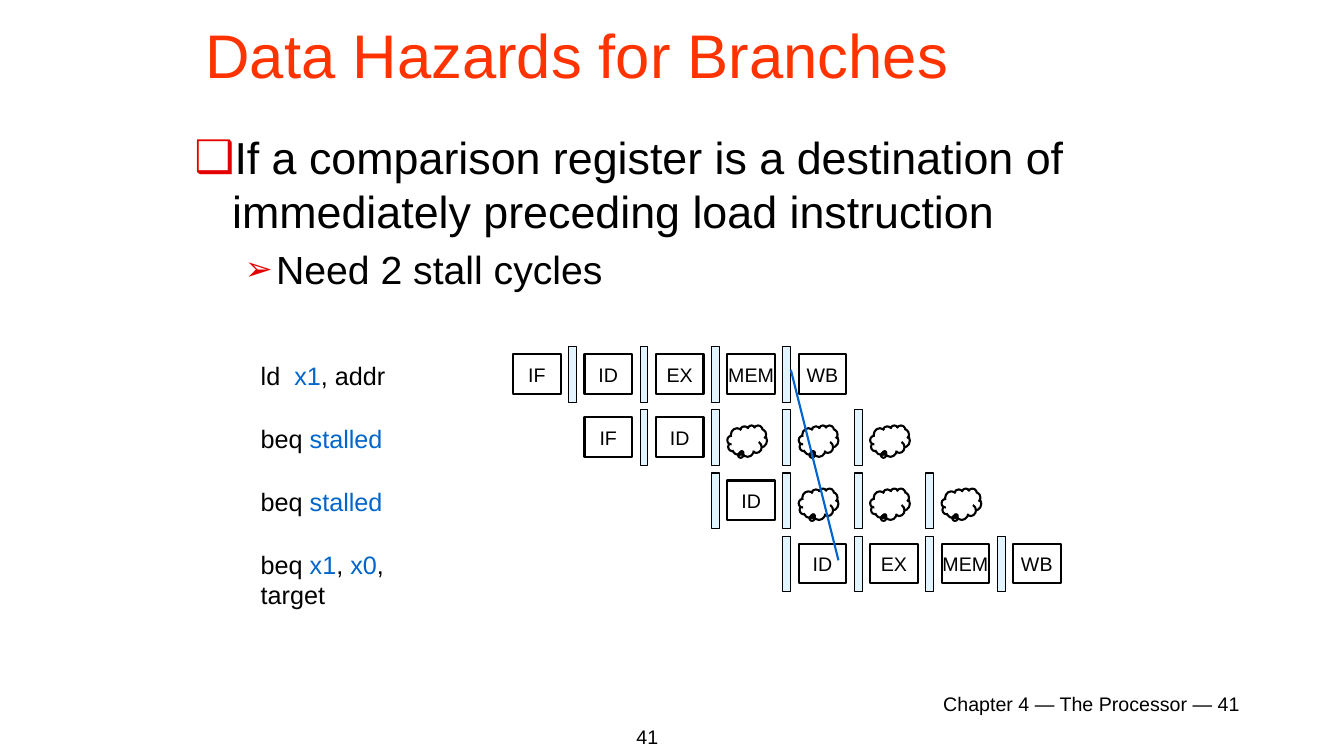
from dataclasses import dataclass

from lxml.etree import SubElement
from pptx import Presentation
from pptx.dml.color import RGBColor
from pptx.enum.shapes import MSO_CONNECTOR, MSO_SHAPE
from pptx.enum.text import MSO_ANCHOR, PP_ALIGN
from pptx.oxml.ns import qn
from pptx.util import Cm, Pt


@dataclass(frozen=True)
class Theme:
    font: str = "Arial"
    ink: RGBColor = RGBColor(0x00, 0x00, 0x00)
    paper: RGBColor = RGBColor(0xFF, 0xFF, 0xFF)
    title: RGBColor = RGBColor(0xFF, 0x33, 0x00)
    accent: RGBColor = RGBColor(0x00, 0x66, 0xCC)
    register: RGBColor = RGBColor(0xE1, 0xF4, 0xFF)
    bullet: str = "E40000"
    title_size: Pt = Pt(44)
    body_size: Pt = Pt(32)
    detail_size: Pt = Pt(28)
    code_size: Pt = Pt(18)
    small_size: Pt = Pt(14)
    thick: Pt = Pt(1.5)
    thin: Pt = Pt(0.75)


THEME = Theme()

# Each row: instruction as (text, highlighted) spans, first column, stages.
BUBBLE = None
PIPELINE = [
    ([("ld  ", False), ("x1", True), (", addr", False)],
     0, ["IF", "ID", "EX", "MEM", "WB"]),
    ([("beq ", False), ("stalled", True)],
     1, ["IF", "ID", BUBBLE, BUBBLE, BUBBLE]),
    ([("beq ", False), ("stalled", True)],
     3, ["ID", BUBBLE, BUBBLE, BUBBLE]),
    ([("beq ", False), ("x1", True), (", ", False), ("x0", True),
      (", target", False)],
     4, ["ID", "EX", "MEM", "WB"]),
]
REGISTERS_PER_ROW = 4
COLUMN_STEP, ROW_STEP = 1.8, 1.59


def style(para, size, color=THEME.ink, align=PP_ALIGN.LEFT):
    para.font.name = THEME.font
    para.font.size = size
    para.font.color.rgb = color
    para.alignment = align


def add_text_box(page, box, wrap=True):
    frame = page.shapes.add_textbox(*map(Cm, box)).text_frame
    frame.word_wrap = wrap
    return frame


def add_line_of_text(page, box, text, size, align=PP_ALIGN.LEFT):
    para = add_text_box(page, box).paragraphs[0]
    para.text = text
    style(para, size, align=align)


def add_outlined(page, kind, box, width, fill=None):
    shape = page.shapes.add_shape(kind, *map(Cm, box))
    shape.shadow.inherit = False
    shape.line.color.rgb = THEME.ink
    shape.line.width = width
    if fill is None:
        shape.fill.background()
    else:
        shape.fill.solid()
        shape.fill.fore_color.rgb = fill
    return shape


def set_bullet(para, symbol, margin, hanging, percent):
    properties = para._p.get_or_add_pPr()
    properties.set("marL", str(Cm(margin)))
    properties.set("indent", str(-Cm(hanging)))
    color = SubElement(properties, qn("a:buClr"))
    SubElement(color, qn("a:srgbClr"), val=THEME.bullet)
    SubElement(properties, qn("a:buSzPct"), val=str(percent * 1000))
    SubElement(properties, qn("a:buFont"), typeface=THEME.font)
    SubElement(properties, qn("a:buChar"), char=symbol)


def add_title(page, box, text):
    frame = add_text_box(page, box)
    frame.vertical_anchor = MSO_ANCHOR.MIDDLE
    frame.paragraphs[0].text = text
    style(frame.paragraphs[0], THEME.title_size, THEME.title)


def add_body(page, box):
    frame = add_text_box(page, box)
    point = frame.paragraphs[0]
    point.text = ("If a comparison register is a destination of "
                  "immediately preceding load instruction")
    style(point, THEME.body_size)
    point.space_before = Pt(6.4)
    set_bullet(point, "❑", 0.95, 0.95, 100)

    detail = frame.add_paragraph()
    detail.text = "Need 2 stall cycles"
    detail.level = 1
    style(detail, THEME.detail_size)
    detail.space_before = Pt(5.6)
    set_bullet(detail, "➢", 2.06, 0.79, 85)


def add_instruction(page, box, spans):
    para = add_text_box(page, box, wrap=False).paragraphs[0]
    style(para, THEME.code_size)
    for text, highlighted in spans:
        span = para.add_run()
        span.text = text
        if highlighted:
            span.font.color.rgb = THEME.accent


def add_stage(page, left, top, name):
    stage = add_outlined(page, MSO_SHAPE.RECTANGLE,
                         (left, top + 0.19, 1.2, 1), THEME.thick)
    frame = stage.text_frame
    frame.word_wrap = False
    frame.vertical_anchor = MSO_ANCHOR.MIDDLE
    frame.paragraphs[0].text = name
    style(frame.paragraphs[0], THEME.small_size, align=PP_ALIGN.CENTER)


def add_bubble(page, left, top):
    cloud = add_outlined(page, MSO_SHAPE.CLOUD_CALLOUT,
                         (left, top + 0.39, 1, 0.79), THEME.thick)
    cloud.adjustments[0] = -0.13
    cloud.adjustments[1] = 0.36


def add_forwarding_line(page, start, end):
    line = page.shapes.add_connector(MSO_CONNECTOR.STRAIGHT,
                                     *map(Cm, start + end))
    line.line.color.rgb = THEME.accent
    line.line.width = THEME.thick
    SubElement(line._element.spPr, qn("a:effectLst"))


def add_pipeline(page, box):
    """Instruction labels on the left, staggered stages on the right."""
    left, top = box
    grid_left = left + 6.61
    for row, (spans, first, stages) in enumerate(PIPELINE):
        row_top = top + row * ROW_STEP
        add_instruction(page, (left, row_top + 0.21, 5, 1.02), spans)
        for column, name in enumerate(stages, first):
            stage_left = grid_left + column * COLUMN_STEP
            if name is BUBBLE:
                add_bubble(page, stage_left, row_top)
            else:
                add_stage(page, stage_left, row_top, name)
        for column in range(row, row + REGISTERS_PER_ROW):
            register_left = grid_left + column * COLUMN_STEP + 1.4
            add_outlined(page, MSO_SHAPE.RECTANGLE,
                         (register_left, row_top, 0.2, 1.4),
                         THEME.thin, THEME.register)
    add_forwarding_line(page, (grid_left + 7, top + 0.58),
                        (grid_left + 8.2, top + 5.38))


def main():
    deck = Presentation()
    deck.slide_width, deck.slide_height = Cm(33.87), Cm(19.05)
    page = deck.slides.add_slide(deck.slide_layouts[6])
    page.background.fill.solid()
    page.background.fill.fore_color.rgb = THEME.paper

    add_title(page, (4.93, 0, 28.02, 2.72), "Data Hazards for Branches")
    add_body(page, (4.65, 3.15, 22.99, 6.6))
    add_pipeline(page, (6.32, 8.74))
    add_line_of_text(page, (23.52, 17.3, 8.61, 1.02),
                     "Chapter 4 — The Processor — 41", THEME.small_size)
    add_line_of_text(page, (9.78, 18.14, 7.06, 1.27), "41",
                     THEME.small_size, PP_ALIGN.RIGHT)
    deck.save("out.pptx")


if __name__ == "__main__":
    main()
